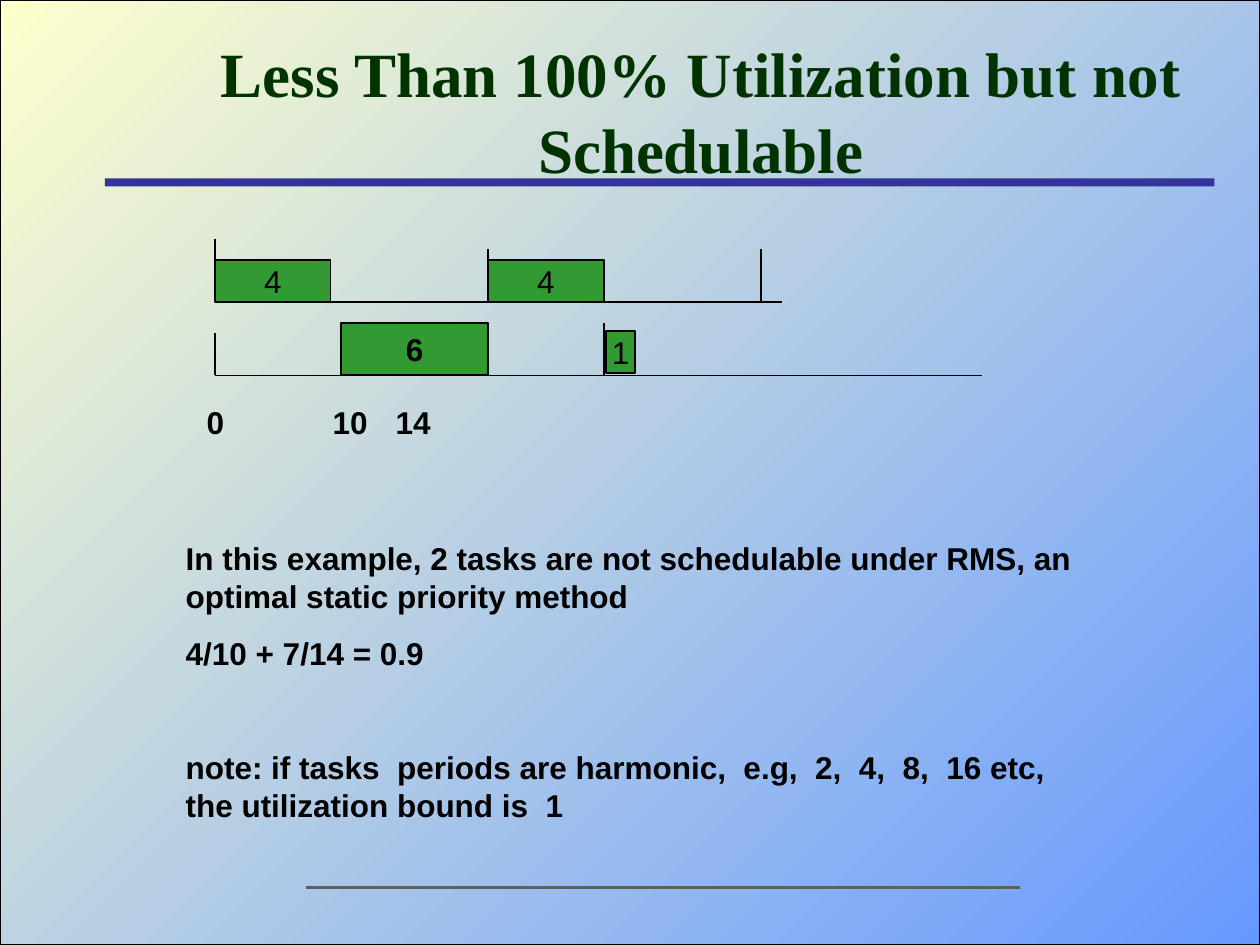
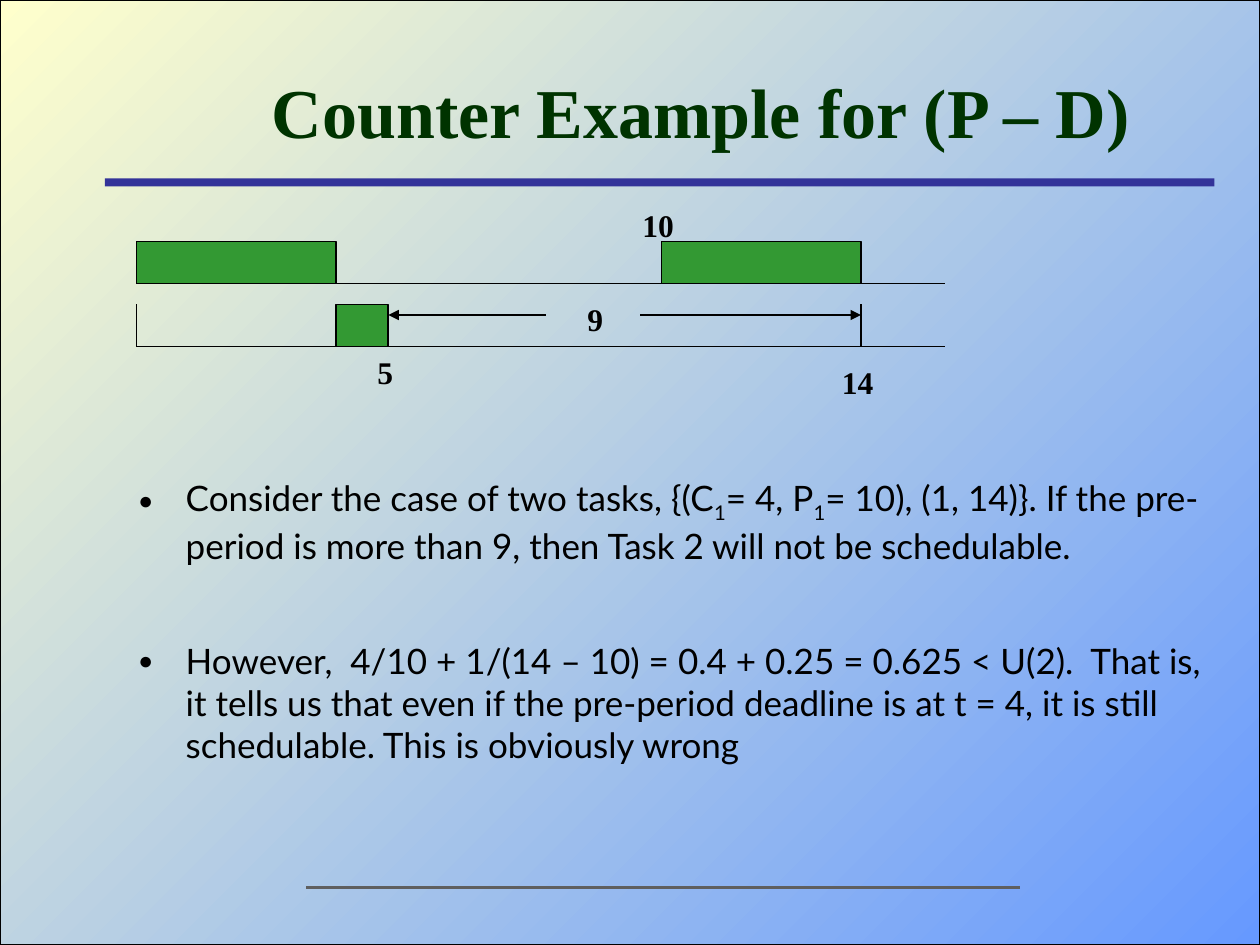
"""Build two slides on the schedulability of periodic tasks."""
from lxml import etree
from pptx import Presentation
from pptx.dml.color import RGBColor
from pptx.enum.shapes import MSO_CONNECTOR, MSO_SHAPE
from pptx.enum.text import MSO_ANCHOR, MSO_AUTO_SIZE, PP_ALIGN
from pptx.oxml.ns import qn
from pptx.util import Pt

RECT = MSO_SHAPE.RECTANGLE
LINE = MSO_CONNECTOR.STRAIGHT
MIDDLE, TOP = MSO_ANCHOR.MIDDLE, MSO_ANCHOR.TOP
CENTER, LEFT = PP_ALIGN.CENTER, PP_ALIGN.LEFT
GROW, FIXED = MSO_AUTO_SIZE.SHAPE_TO_FIT_TEXT, MSO_AUTO_SIZE.NONE

COLORS = {"ink": "000000", "title": "003300", "task": "339933", "band": "333399",
          "foot": "5F5F5F", "blue": "6699FF", "cream": "FFFFCC"}
ARIAL = {"name": "Arial", "size": Pt(18), "bold": False}
STRONG = {**ARIAL, "bold": True}
TIMES = {**STRONG, "name": "Times New Roman"}
LATO = {"name": "Lato", "size": Pt(20), "bold": False}
INDENT = 27


def rgb(name):
    return RGBColor.from_string(COLORS[name])


class Deck:
    def __init__(self):
        self.prs = Presentation()
        self.prs.slide_width, self.prs.slide_height = Pt(720), Pt(540)
        self.shapes = None

    def page(self, title, size):
        slide = self.prs.slides.add_slide(self.prs.slide_layouts[6])
        self.shapes = slide.shapes
        back = self.rect(0, 0, 720, 540, "cream", 0.75)
        back.fill.gradient()
        back.fill.gradient_angle = 135
        for stop, name in zip(back.fill.gradient_stops, ("blue", "cream")):
            stop.color.rgb = rgb(name)
        self.rect(60, 102, 634, 4.5, "band", 0)
        self.line(175, 507, 583, 507, "foot", 1.5)
        box = self.text(105, 24, 591, 78, [title], {**TIMES, "size": Pt(size)},
                        color="title", align=CENTER)
        box.text_frame.auto_size = FIXED
        box.text_frame.vertical_anchor = MIDDLE

    def rect(self, x, y, w, h, color, edge=1):
        shape = self.shapes.add_shape(RECT, Pt(x), Pt(y), Pt(w), Pt(h))
        shape.shadow.inherit = False
        shape.fill.solid()
        shape.fill.fore_color.rgb = rgb(color)
        if edge:
            shape.line.color.rgb = rgb("ink")
            shape.line.width = Pt(edge)
        else:
            shape.line.fill.background()
        return shape

    def task(self, x, y, w, h=24, label="", style=ARIAL):
        shape = self.rect(x, y, w, h, "task")
        if label:
            frame = shape.text_frame
            frame.word_wrap = False
            frame.vertical_anchor = MIDDLE
            self.fill(frame.paragraphs[0], label, style, "ink", CENTER)

    def line(self, x1, y1, x2, y2, color="ink", width=1, arrow=False):
        link = self.shapes.add_connector(LINE, Pt(x1), Pt(y1), Pt(x2), Pt(y2))
        link.line.color.rgb = rgb(color)
        link.line.width = Pt(width)
        if arrow:
            etree.SubElement(link.line._get_or_add_ln(), qn("a:tailEnd"), type="triangle")
        etree.SubElement(link._element.spPr, qn("a:effectLst"))

    def fill(self, para, text, style, color, align):
        para.alignment = align
        for i, part in enumerate(text.split("_")):
            run = para.add_run()
            run.text = part
            for key, value in style.items():
                setattr(run.font, key, value)
            run.font.color.rgb = rgb(color)
            if i % 2:
                run._r.get_or_add_rPr().set("baseline", "-25000")

    def text(self, x, y, w, h, lines, style, gaps=(), color="ink", align=LEFT, dots=False):
        box = self.shapes.add_textbox(Pt(x), Pt(y), Pt(w), Pt(h))
        frame = box.text_frame
        frame.word_wrap = True
        frame.auto_size = FIXED if dots else GROW
        frame.vertical_anchor = TOP
        for i, line in enumerate(lines):
            para = frame.add_paragraph() if i else frame.paragraphs[0]
            if dots:
                self.dot(para)
            if i:
                para.space_before = Pt(gaps[i - 1])
            self.fill(para, line, style, color, align)
        return box

    def dot(self, para):
        props = para._p.get_or_add_pPr()
        props.set("marL", str(Pt(INDENT)))
        props.set("indent", str(-Pt(INDENT)))
        tint = etree.SubElement(props, qn("a:buClr"))
        etree.SubElement(tint, qn("a:srgbClr"), val=COLORS["ink"])
        etree.SubElement(props, qn("a:buSzPct"), val="70000")
        etree.SubElement(props, qn("a:buFont"), typeface="Arial")
        etree.SubElement(props, qn("a:buChar"), char="●")


def bound(deck):
    deck.page("Less Than 100% Utilization but not Schedulable", 36)
    high, low = 172.5, 214.5
    for base, end in ((high, 447), (low, 561)):
        deck.line(123, base, end, base)
    for x, base, rise in ((123, high, 36), (123, low, 24), (279, high, 30),
                          (435, high, 30), (345, low, 30)):
        deck.line(x, base - rise, x, base)
    for x in (123, 279):
        deck.task(x, high - 24, 66, label="4")
    deck.task(195, low - 30, 84, 30, "6", STRONG)
    deck.task(346.5, 189, 16.5, label="1")
    deck.text(111, 227, 378, 29, ["0\t\t10\t14"], STRONG)
    deck.text(99, 304.5, 534, 171, [
        "In this example, 2 tasks are not schedulable under RMS, an optimal static "
        "priority method",
        "4/10 + 7/14 = 0.9",
        "note: if tasks  periods are harmonic,  e.g,  2,  4,  8,  16 etc,  "
        "the utilization bound is  1"], STRONG, gaps=(11.2, 43.5))


def counter(deck):
    deck.page("Counter Example for (P – D)", 40)
    deck.text(72, 269, 630, 222, [
        "Consider the case of two tasks, {(C_1_= 4, P_1_= 10), (1, 14)}. If the "
        "pre-period is more than 9, then Task 2 will not be schedulable.",
        "However,  4/10 + 1/(14 – 10) = 0.4 + 0.25 = 0.625 < U(2).  That is, it tells us "
        "that even if the pre-period deadline is at t = 4, it is still schedulable. "
        "This is obviously wrong"], LATO, gaps=(41.6,), dots=True)
    for base, ticks in ((162, (78, 378)), (198, (78, 492))):
        deck.line(78, base, 540, base)
        for x in ticks:
            deck.line(x, base - 24, x, base)
    for x, y, w in ((378, 138, 114), (78, 138, 114), (192, 174, 30)):
        deck.task(x, y, w)
    for x, y, label in ((360, 114, "10"), (474, 204, "14"), (208.5, 198, "5"),
                        (328.5, 168, "9")):
        deck.text(x, y, 54, 29, [label], TIMES)
    for start, end in ((312, 222), (366, 492)):
        deck.line(start, 180, end, 180, arrow=True)


def main():
    deck = Deck()
    bound(deck)
    counter(deck)
    deck.prs.save("out.pptx")


if __name__ == "__main__":
    main()
